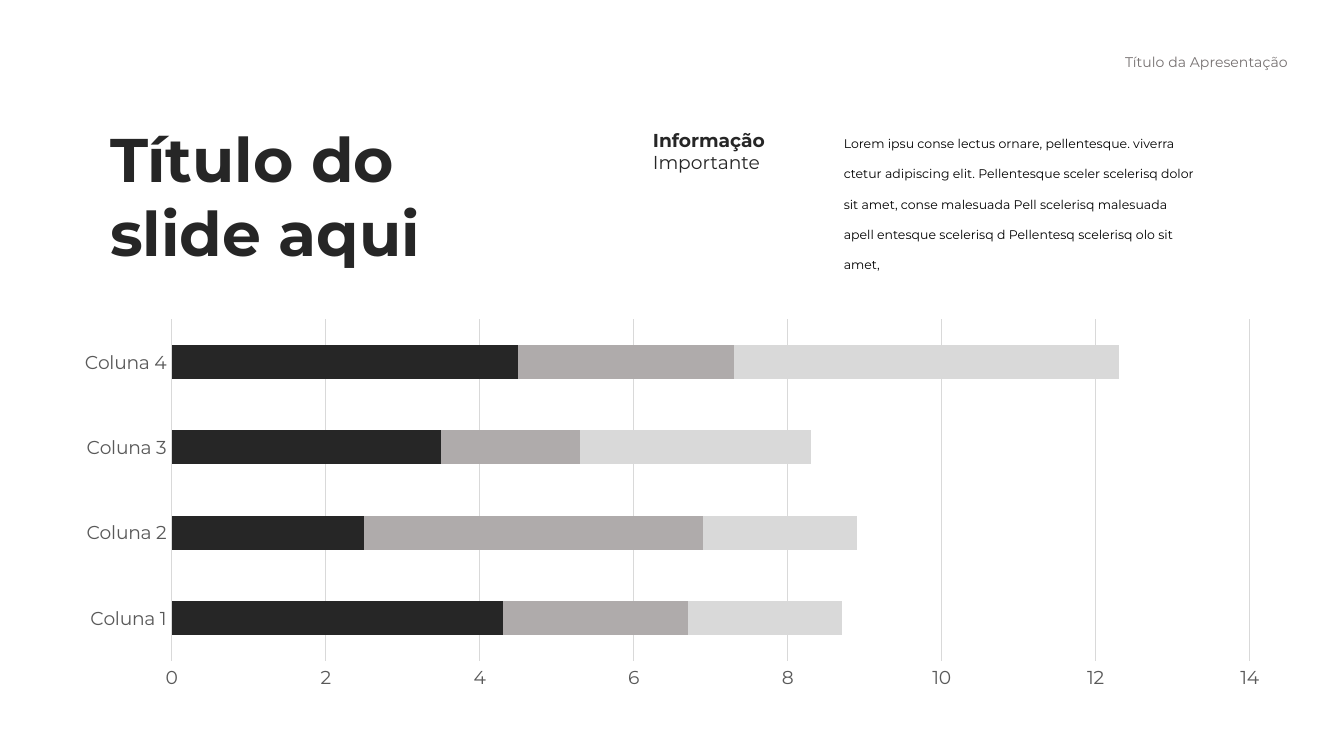
from pptx import Presentation
from pptx.chart.data import CategoryChartData
from pptx.dml.color import RGBColor
from pptx.enum.chart import XL_CHART_TYPE, XL_TICK_MARK
from pptx.enum.text import MSO_AUTO_SIZE, PP_ALIGN
from pptx.util import Inches, Pt

BAR = XL_CHART_TYPE.BAR_STACKED
NO_TICK = XL_TICK_MARK.NONE
GROW = MSO_AUTO_SIZE.SHAPE_TO_FIT_TEXT
LEFT, RIGHT = PP_ALIGN.LEFT, PP_ALIGN.RIGHT

THEME = {
    "font": "Montserrat",
    "dark": "262626", "black": "000000", "head": "767171",
    "label": "595959", "grid": "D9D9D9",
    "bars": ["262626", "AFABAB", "D9D9D9"],
    "title": 33, "lead": 10, "body": 6.75, "small": 7.5, "axis": 10,
}

# Content: box, runs as (text, bold), size, colour, alignment, line spacing, wrap
TEXTS = [
    ((8.26, 0.35, 1.42, 0.23), [("Título da Apresentação", False)],
     "small", "head", RIGHT, 1, False),
    ((0.72, 0.85, 2.69, 1.21), [("Título do slide aqui", True)],
     "title", "dark", LEFT, 1, True),
    ((4.76, 0.91, 1.32, 0.44), [("Informação ", True), ("Importante", False)],
     "lead", "dark", LEFT, 1, True),
    ((6.18, 0.85, 2.84, 1.2),
     [("Lorem ipsu conse lectus ornare, pellentesque. viverra ctetur "
       "adipiscing elit. Pellentesque sceler scelerisq dolor sit amet, conse "
       "malesuada Pell scelerisq malesuada apell entesque scelerisq d "
       "Pellentesq scelerisq olo sit amet,", False)],
     "body", "black", LEFT, 2, True),
]
CHART_BOX = (0.45, 2.32, 9.1, 2.86)
CATS = ["Coluna 1", "Coluna 2", "Coluna 3", "Coluna 4"]
SERIES = [
    ("Series 1", (4.3, 2.5, 3.5, 4.5)),
    ("Series 2", (2.4, 4.4, 1.8, 2.8)),
    ("Series 3", (2, 2, 3, 5)),
]


def style(font, size, color, bold=False):
    font.name = THEME["font"]
    font.size = Pt(THEME[size])
    font.bold = bold
    font.color.rgb = RGBColor.from_string(THEME[color])


def add_text(slide, box, runs, size, color, align, space, wrap):
    frame = slide.shapes.add_textbox(*map(Inches, box)).text_frame
    frame.word_wrap = wrap
    frame.auto_size = GROW
    para = frame.paragraphs[0]
    para.alignment = align
    para.line_spacing = space
    for text, bold in runs:
        run = para.add_run()
        run.text = text
        style(run.font, size, color, bold)


def add_bars(slide):
    data = CategoryChartData()
    data.categories = CATS
    for name, vals in SERIES:
        data.add_series(name, vals)
    chart = slide.shapes.add_chart(BAR, *map(Inches, CHART_BOX), data).chart
    chart.has_legend = False
    chart.has_title = False
    style(chart.font, "axis", "black")

    # Bars
    plot = chart.plots[0]
    plot.vary_by_categories = False
    plot.gap_width = 150
    plot.overlap = 100
    for bar, color in zip(plot.series, THEME["bars"]):
        bar.format.fill.solid()
        bar.format.fill.fore_color.rgb = RGBColor.from_string(color)

    # Axes and grid
    cat, val = chart.category_axis, chart.value_axis
    for axis in (cat, val):
        axis.major_tick_mark = axis.minor_tick_mark = NO_TICK
        style(axis.tick_labels.font, "axis", "label")
    val.minimum_scale, val.maximum_scale, val.major_unit = 0, 14, 2
    val.format.line.fill.background()
    val.has_major_gridlines = True
    for line in (cat.format.line, val.major_gridlines.format.line):
        line.width = Pt(0.75)
        line.color.rgb = RGBColor.from_string(THEME["grid"])


def main():
    deck = Presentation()
    # Widescreen 16:9
    deck.slide_width = Inches(10)
    deck.slide_height = deck.slide_width * 9 // 16
    slide = deck.slides.add_slide(deck.slide_layouts[6])
    add_bars(slide)
    for item in TEXTS:
        add_text(slide, *item)
    deck.save("out.pptx")


if __name__ == "__main__":
    main()
